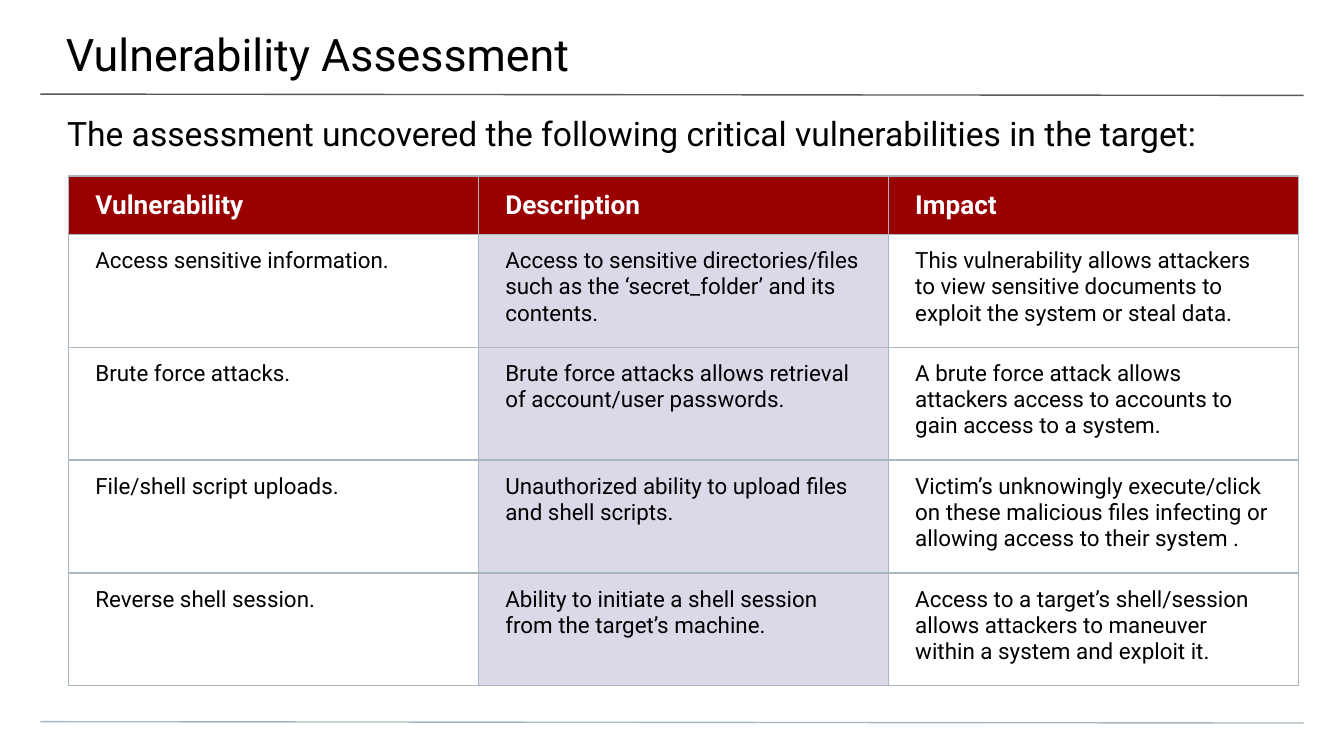
from pptx import Presentation
from pptx.util import Inches, Pt
from pptx.dml.color import RGBColor
from pptx.enum.shapes import MSO_CONNECTOR
from pptx.enum.text import MSO_ANCHOR
from pptx.oxml.ns import qn
from lxml.etree import SubElement

COLORS = {
    "black": "000000",
    "white": "FFFFFF",
    "dark": "595959",
    "grey": "A9B7C0",
    "red": "990000",
    "lilac": "DBD9E8",
}

ROWS = [
    ("Vulnerability", "Description", "Impact"),
    (
        "Access sensitive information.",
        "Access to sensitive directories/files such as the ‘secret_folder’ and its contents.",
        "This vulnerability allows attackers to view sensitive documents to exploit the system or steal data.",
    ),
    (
        "Brute force attacks.",
        "Brute force attacks allows retrieval of account/user passwords.",
        "A brute force attack allows attackers access to accounts to gain access to a system.",
    ),
    (
        "File/shell script uploads.",
        "Unauthorized ability to upload files and shell scripts.",
        "Victim’s unknowingly execute/click on these malicious files infecting or allowing access to their system .",
    ),
    (
        "Reverse shell session.",
        "Ability to initiate a shell session from the target’s machine.",
        "Access to a target’s shell/session allows attackers to maneuver within a system and exploit it.",
    ),
]


def style(frame, size, color, bold=False):
    for run in frame.paragraphs[0].runs:
        run.font.name = "Roboto"
        run.font.size = Pt(size)
        run.font.bold = bold
        run.font.color.rgb = RGBColor.from_string(COLORS[color])


def border(cell):
    props = cell._tc.get_or_add_tcPr()
    for index, side in enumerate(("a:lnL", "a:lnR", "a:lnT", "a:lnB")):
        line = props.makeelement(qn(side), {"w": str(Pt(0.75))})
        fill = SubElement(line, qn("a:solidFill"))
        SubElement(fill, qn("a:srgbClr"), val=COLORS["grey"])
        props.insert(index, line)


prs = Presentation()
prs.slide_width = Inches(10)
prs.slide_height = Inches(10) * 9 // 16
slide = prs.slides.add_slide(prs.slide_layouts[6])

for top, color in ((0.7, "dark"), (5.37, "grey")):
    rule = slide.shapes.add_connector(
        MSO_CONNECTOR.STRAIGHT, Inches(0.3), Inches(top), Inches(9.7), Inches(top + 0.01)
    )
    rule.line.color.rgb = RGBColor.from_string(COLORS[color])
    rule.line.width = Pt(0.75)
    SubElement(rule._element.spPr, qn("a:effectLst"))

HEADS = [
    ("Vulnerability Assessment", -0.01, 0, 10.03, 0.58, 24, 0.3, 0.2, 0.1),
    (
        "The assessment uncovered the following critical vulnerabilities in the target:",
        0, 0.74, 10, 0.4, 18, 0.5, 0.1, 0,
    ),
]
for text, left, top, width, height, size, right, above, below in HEADS:
    box = slide.shapes.add_textbox(Inches(left), Inches(top), Inches(width), Inches(height))
    frame = box.text_frame
    frame.word_wrap = True
    frame.margin_left = Inches(0.5)
    frame.margin_right = Inches(right)
    frame.margin_top = Inches(above)
    frame.margin_bottom = Inches(below)
    frame.text = text
    style(frame, size, "black")

table = slide.shapes.add_table(
    len(ROWS), 3, Inches(0.51), Inches(1.31), Inches(9.15), Inches(3.79)
).table
for col in table.columns:
    col.width = Inches(3.05)

for r, texts in enumerate(ROWS):
    head = r == 0
    table.rows[r].height = Inches(0.43 if head else 0.84)
    for c, text in enumerate(texts):
        cell = table.cell(r, c)
        cell.margin_left = cell.margin_right = Inches(0.2)
        cell.margin_top = cell.margin_bottom = Inches(0.1)
        cell.vertical_anchor = MSO_ANCHOR.MIDDLE if head else MSO_ANCHOR.TOP
        cell.text_frame.text = text
        if head:
            style(cell.text_frame, 14, "white", True)
        else:
            style(cell.text_frame, 12, "black")
        if head or c == 1:
            cell.fill.solid()
            cell.fill.fore_color.rgb = RGBColor.from_string(COLORS["red" if head else "lilac"])
        else:
            cell.fill.background()
        border(cell)

prs.save("out.pptx")
